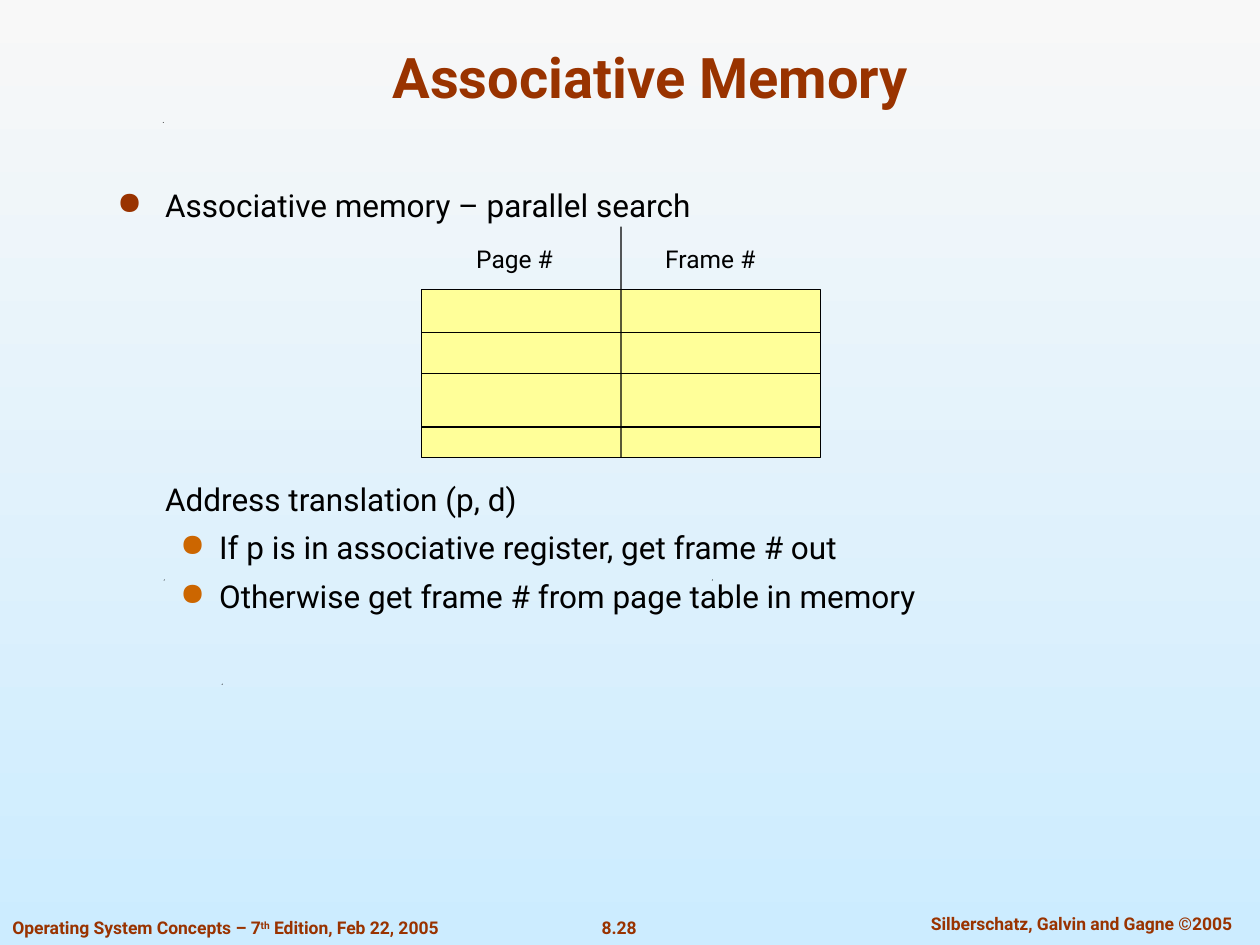
import lxml.etree
import pptx
import pptx.dml.color
import pptx.enum.shapes
import pptx.enum.text
import pptx.oxml.ns
import pptx.util

Cm = pptx.util.Cm
Pt = pptx.util.Pt
ALIGN = pptx.enum.text.PP_ALIGN
ANCHOR = pptx.enum.text.MSO_ANCHOR
FONT = "Roboto"
BROWN = "993300"
ORANGE = "CC6600"
BLACK = "000000"
YELLOW = "FFFF99"


def color(value):
    return pptx.dml.color.RGBColor.from_string(value)


def add_element(parent, tag, **attributes):
    element = lxml.etree.SubElement(parent, pptx.oxml.ns.qn(tag))
    for name, value in attributes.items():
        element.set(name, value)
    return element


def paint_background(slide, top, bottom):
    fill = slide.background.fill
    fill.gradient()
    fill.gradient_angle = 270
    for stop, value in zip(fill.gradient_stops, (top, bottom)):
        stop.color.rgb = color(value)


def place(shape, left, top, width, height):
    shape.left, shape.top = Cm(left), Cm(top)
    shape.width, shape.height = Cm(width), Cm(height)


def write(paragraph, text, size=18, value=BLACK, bold=False, align=ALIGN.LEFT,
          superscript=False):
    paragraph.alignment = align
    run = paragraph.add_run()
    run.text = text
    run.font.name = FONT
    run.font.size = Pt(size)
    run.font.bold = bold
    run.font.color.rgb = color(value)
    if superscript:
        run._r.get_or_add_rPr().set("baseline", "30000")


def add_text_box(slide, left, top, width, height, anchor=ANCHOR.TOP):
    frame = slide.shapes.add_textbox(
        Cm(left), Cm(top), Cm(width), Cm(height)).text_frame
    frame.word_wrap = True
    frame.vertical_anchor = anchor
    return frame


def set_indent(paragraph, margin, hanging=0, bullet_color=None):
    """Indent a paragraph and, given a colour, put a round bullet before it."""
    properties = paragraph._p.get_or_add_pPr()
    properties.set("marL", str(Cm(margin)))
    properties.set("indent", str(-Cm(hanging)))
    if bullet_color:
        holder = add_element(properties, "a:buClr")
        add_element(holder, "a:srgbClr", val=bullet_color)
        add_element(properties, "a:buChar", char="●")


def add_line(slide, start, end):
    connector = slide.shapes.add_connector(
        pptx.enum.shapes.MSO_CONNECTOR.STRAIGHT, *map(Cm, start + end))
    connector.line.color.rgb = color(BLACK)
    connector.line.width = Pt(0.75)
    add_element(connector._element.spPr, "a:effectLst")
    return connector


def add_speck(slide, left, top, size=0.02):
    builder = slide.shapes.build_freeform(Cm(left), Cm(top + size))
    builder.add_line_segments(
        [(Cm(left + size), Cm(top)), (Cm(left + size), Cm(top + size))])
    speck = builder.convert_to_shape()
    speck.shadow.inherit = False
    speck.fill.solid()
    speck.fill.fore_color.rgb = color(BLACK)
    speck.line.fill.background()


def add_footer(slide):
    style = dict(size=10, value=BROWN, bold=True)
    book = add_text_box(slide, 0, 18.36, 9.6, 0.69).paragraphs[0]
    write(book, "Operating System Concepts – 7", **style)
    write(book, "th", superscript=True, **style)
    write(book, " Edition, Feb 22, 2005", **style)
    number = add_text_box(slide, 11.86, 18.36, 1.24, 0.69).paragraphs[0]
    write(number, "8.28", align=ALIGN.CENTER, **style)
    authors = add_text_box(slide, 18.03, 18.29, 7.54, 0.69).paragraphs[0]
    write(authors, "Silberschatz, Galvin and Gagne ©2005",
          align=ALIGN.CENTER, **style)


def add_title(slide, text):
    title = slide.shapes.title
    place(title, 1.9, 0.64, 22.43, 1.7)
    title.text_frame.vertical_anchor = ANCHOR.BOTTOM
    write(title.text_frame.paragraphs[0], text, size=32, value=BROWN,
          bold=True, align=ALIGN.CENTER)


def add_body(slide):
    frame = add_text_box(slide, 2.11, 3.63, 20.42, 12.45)
    # text, space before, left margin, hanging indent, bullet colour
    rows = [
        ("Associative memory – parallel search", 0, 0.97, 0.97, BROWN),
        ("Address translation (p, d)", 146, 0.97, 0, None),
        ("If p is in associative register, get frame # out",
         6.3, 2.06, 0.79, ORANGE),
        ("Otherwise get frame # from page table in memory",
         6.3, 2.06, 0.79, ORANGE),
    ]
    for index, (text, space, margin, hanging, bullet) in enumerate(rows):
        paragraph = frame.add_paragraph() if index else frame.paragraphs[0]
        set_indent(paragraph, margin, hanging, bullet)
        if space:
            paragraph.space_before = Pt(space)
        write(paragraph, text)


def add_register_diagram(slide):
    left, top, width, height = 8.5, 5.84, 8.04, 3.38
    right, bottom = left + width, top + height
    center, middle = left + width / 2, top + height / 2
    registers = slide.shapes.add_shape(
        pptx.enum.shapes.MSO_SHAPE.RECTANGLE,
        Cm(left), Cm(top), Cm(width), Cm(height))
    registers.shadow.inherit = False
    registers.fill.solid()
    registers.fill.fore_color.rgb = color(YELLOW)
    registers.line.color.rgb = color(BLACK)
    registers.line.width = Pt(0.75)

    divider = add_line(slide, (center, 4.57), (center, bottom))
    divider.end_connect(registers, 2)
    for row in (6.7, middle, 8.61):
        rule = add_line(slide, (left, row), (right, row))
        if row == middle:
            rule.begin_connect(registers, 1)
            rule.end_connect(registers, 3)
    for heading, heading_left in (("Page #", 9.35), ("Frame #", 13.16)):
        frame = add_text_box(slide, heading_left, 4.8, 3.6, 0.84,
                             ANCHOR.MIDDLE)
        write(frame.paragraphs[0], heading, size=14)


def main():
    presentation = pptx.Presentation()
    presentation.slide_width, presentation.slide_height = Cm(25.4), Cm(19.05)
    slide = presentation.slides.add_slide(presentation.slide_layouts[5])
    paint_background(slide, "F8F8F8", "CCECFF")
    for left, top in ((4.47, 13.78), (3.3, 11.68), (14.35, 11.68), (3.28, 2.46)):
        add_speck(slide, left, top)
    add_footer(slide)
    add_title(slide, "Associative Memory")
    add_body(slide)
    add_register_diagram(slide)
    presentation.save("out.pptx")


if __name__ == "__main__":
    main()
